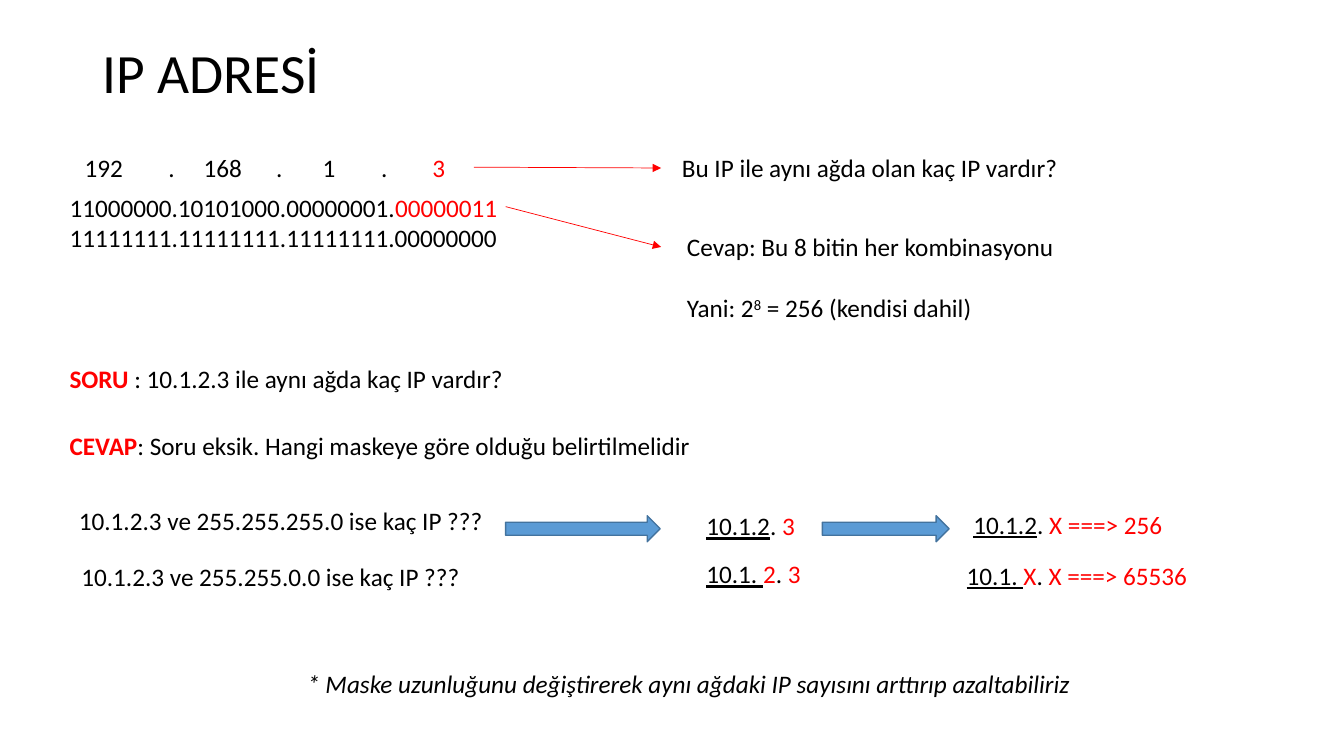
from dataclasses import dataclass
from typing import NamedTuple

from lxml.etree import SubElement
from pptx import Presentation
from pptx.dml.color import RGBColor
from pptx.enum.shapes import MSO_CONNECTOR, MSO_SHAPE
from pptx.enum.text import MSO_ANCHOR, MSO_AUTO_SIZE, PP_ALIGN
from pptx.oxml.ns import qn
from pptx.util import Emu, Inches, Pt

INK = {"text": "000000", "mark": "FF0000", "fill": "5B9BD5", "edge": "43739E"}
FONT = "Calibri"
SIZE = 18
LINE = 22  # height of one text line in points

# The grid: 160 columns by 90 rows of square cells
COLS, ROWS = 160, 90
CELL = Inches(1) / 12


class Bit(NamedTuple):
    """A run; style holds b, i, u or ^ for superscript."""
    text: str
    ink: str = "text"
    style: str = ""


@dataclass
class Note:
    """A text box: grid place and paragraphs of runs."""
    left: float
    top: float
    width: float
    paras: list[list[Bit]]
    wrap: bool = False
    gap: float = 0  # points between paragraphs
    tabs: tuple[float, ...] = ()  # tab stops in inches
    height: float = 4.8


class Link(NamedTuple):
    """A thin arrow between two grid points."""
    left: float
    top: float
    right: float
    end: float


class Arrow(NamedTuple):
    """A block arrow."""
    left: float
    width: float


NOTES = [
    # Address, its bits and its mask
    Note(7.1, 22.3, 54.5, [
        [Bit("11000000.10101000.00000001."), Bit("00000011", "mark")],
        [Bit("11111111.11111111.11111111.00000000")]], height=8.5),
    Note(8.9, 17.5, 47.5, [[Bit("192\t.\t168\t.\t1\t.\t"), Bit("3", "mark")]],
         wrap=True, tabs=(0.83, 1.18, 1.9, 2.36, 2.94, 3.45)),
    # Question and answer on the right
    Note(80, 17.6, 47.6, [[Bit("Bu IP ile aynı ağda olan kaç IP vardır?")]]),
    Note(80.6, 27, 46.7, [
        [Bit("Cevap: Bu 8 bitin her kombinasyonu")],
        [Bit("Yani: 2"), Bit("8", style="^"), Bit(" = 256 (kendisi dahil)")]],
        gap=LINE, height=12.1),
    # Question and answer on the left
    Note(7.1, 42.7, 67.3, [
        [Bit("SORU ", "mark", "b"),
         Bit(": 10.1.2.3 ile aynı ağda kaç IP vardır?")]], wrap=True),
    Note(7.1, 50.6, 118.7, [
        [Bit("CEVAP", "mark", "b"),
         Bit(": Soru eksik. Hangi maskeye göre olduğu belirtilmelidir")]],
        wrap=True),
    # First mask
    Note(8.2, 59.6, 53.4, [[Bit("10.1.2.3 ve 255.255.255.0 ise kaç IP ???")]],
         wrap=True),
    Note(82.9, 60.2, 13.1,
         [[Bit("10.1.2", style="u"), Bit(". "), Bit("3", "mark")]]),
    Note(114.7, 60, 25.2,
         [[Bit("10.1.2", style="u"), Bit(". "), Bit("X ===> 256", "mark")]]),
    # Second mask
    Note(8.5, 66.2, 47.9, [[Bit("10.1.2.3 ve 255.255.0.0 ise kaç IP ???")]]),
    Note(82.9, 65.9, 13.8, [
        [Bit("10.1. ", style="u"), Bit("2", "mark"), Bit(". "),
         Bit("3", "mark")]]),
    Note(113.9, 66.1, 28.9, [
        [Bit("10.1. ", style="u"), Bit("X", "mark"), Bit(". "),
         Bit("X ===> 65536", "mark")]]),
    # Closing remark
    Note(35.4, 79, 95.4, [
        [Bit("* Maske uzunluğunu değiştirerek aynı ağdaki IP sayısını "
             "arttırıp azaltabiliriz", style="i")]]),
]
LINKS = [Link(56.4, 19.9, 78.7, 20), Link(60.2, 24.6, 78.7, 29.4)]
ARROWS = [Arrow(60.2, 18.4), Arrow(97.9, 15.1)]


def grid(*cells: float) -> list[Emu]:
    return [Emu(round(cell * CELL)) for cell in cells]


def tint(name: str) -> RGBColor:
    return RGBColor.from_string(INK[name])


def add_bit(para, bit: Bit, size: float = SIZE) -> None:
    run = para.add_run()
    run.text = bit.text
    font = run.font
    font.name, font.size = FONT, Pt(size)
    font.color.rgb = tint(bit.ink)
    font.bold = "b" in bit.style
    font.italic = "i" in bit.style
    font.underline = "u" in bit.style
    if "^" in bit.style:
        run._r.get_or_add_rPr().set("baseline", "30000")


def add_tabs(para, stops: tuple[float, ...]) -> None:
    tabs = SubElement(para._p.get_or_add_pPr(), qn("a:tabLst"))
    for stop in stops:
        SubElement(tabs, qn("a:tab"), pos=str(Inches(stop)), algn="l")


def add_note(slide, note: Note) -> None:
    box = slide.shapes.add_textbox(
        *grid(note.left, note.top, note.width, note.height))
    frame = box.text_frame
    frame.word_wrap = note.wrap
    frame.auto_size = MSO_AUTO_SIZE.SHAPE_TO_FIT_TEXT
    for row, bits in enumerate(note.paras):
        para = frame.add_paragraph() if row else frame.paragraphs[0]
        if row and note.gap:
            para.space_before = Pt(note.gap)
        if note.tabs:
            add_tabs(para, note.tabs)
        for bit in bits:
            add_bit(para, bit)


def add_link(slide, link: Link) -> None:
    wire = slide.shapes.add_connector(MSO_CONNECTOR.STRAIGHT, *grid(*link))
    wire.line.color.rgb = tint("mark")
    wire.line.width = Pt(0.5)
    SubElement(wire.line._get_or_add_ln(), qn("a:tailEnd"), type="triangle")
    SubElement(wire._element.spPr, qn("a:effectLst"))


def add_arrow(slide, arrow: Arrow) -> None:
    shape = slide.shapes.add_shape(
        MSO_SHAPE.RIGHT_ARROW, *grid(arrow.left, 61.4, arrow.width, 3.1))
    shape.shadow.inherit = False
    shape.fill.solid()
    shape.fill.fore_color.rgb = tint("fill")
    shape.line.color.rgb = tint("edge")
    shape.line.width = Pt(1)


def set_title(slide, text: str) -> None:
    title = slide.shapes.title
    title.left, title.top, title.width, title.height = grid(11, 4.8, 138, 8.3)
    frame = title.text_frame
    frame.auto_size = MSO_AUTO_SIZE.NONE
    frame.vertical_anchor = MSO_ANCHOR.MIDDLE
    para = frame.paragraphs[0]
    para.alignment = PP_ALIGN.LEFT
    para.line_spacing = 0.9
    add_bit(para, Bit(text), 39.6)


def main() -> None:
    deck = Presentation()
    deck.slide_width, deck.slide_height = grid(COLS, ROWS)
    slide = deck.slides.add_slide(deck.slide_layouts.get_by_name("Title Only"))
    set_title(slide, "IP ADRESİ")
    for note in NOTES:
        add_note(slide, note)
    for link in LINKS:
        add_link(slide, link)
    for arrow in ARROWS:
        add_arrow(slide, arrow)
    deck.save("out.pptx")


if __name__ == "__main__":
    main()
